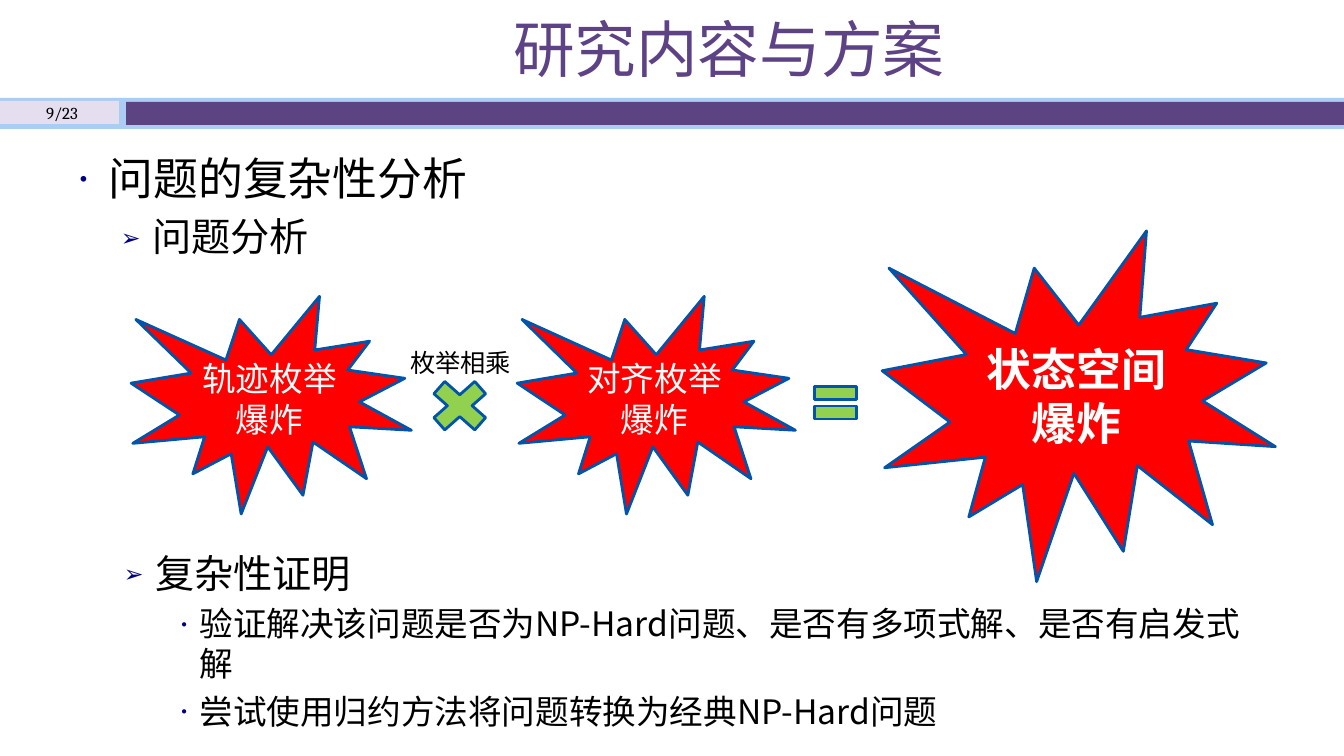
"""Build a slide on the complexity analysis of the research problem."""
import dataclasses
import typing

import lxml.etree
import pptx
import pptx.dml.color
import pptx.enum.shapes
import pptx.enum.text
import pptx.oxml.ns
import pptx.util

Inches = pptx.util.Inches
Pt = pptx.util.Pt
Kind = pptx.enum.shapes.MSO_SHAPE
Align = pptx.enum.text.PP_ALIGN
Anchor = pptx.enum.text.MSO_ANCHOR
Box = tuple[float, float, float, float]


@dataclasses.dataclass(frozen=True)
class Theme:
    sans: str = "Noto Sans CJK SC"
    head: str = "Calibri"
    serif: str = "Cambria"
    black: str = "000000"
    white: str = "FFFFFF"
    sky: str = "ABCDF4"
    pale: str = "E5DEEF"
    plum: str = "5C4381"
    title: str = "5D4385"
    bullet: str = "000082"
    red: str = "FF0000"
    green: str = "92D050"
    edge: str = "0055AA"
    huge: int = 44
    large: int = 32
    mid: int = 28
    body: int = 24
    label: int = 18
    small: int = 12


@dataclasses.dataclass(frozen=True)
class Figure:
    kind: Kind
    box: Box
    fill: str
    line: bool = False
    text: str = ""
    size: int = 24
    bold: bool = False


@dataclasses.dataclass(frozen=True)
class Level:
    size: int
    left: float
    hang: float
    mark: str


THEME = Theme()
LEVELS = (
    Level(THEME.large, 0.38, 0.38, "•"),
    Level(THEME.mid, 0.81, 0.31, "➢"),
    Level(THEME.body, 1.25, 0.25, "•"),
)
BANDS = (
    Figure(Kind.RECTANGLE, (0, 0.97, 13.33, 0.31), THEME.sky),
    Figure(Kind.RECTANGLE, (0, 1, 1.18, 0.23), THEME.pale),
    Figure(Kind.RECTANGLE, (1.25, 1.01, 12.08, 0.23), THEME.plum),
)
BURST = Kind.EXPLOSION1
FIGURES = (
    Figure(BURST, (1.3, 2.94, 2.78, 2.16), THEME.red, True, "轨迹枚举爆炸"),
    Figure(BURST, (5.13, 2.94, 2.76, 2.16), THEME.red, True, "对齐枚举爆炸"),
    Figure(BURST, (8.75, 2.29, 3.9, 3.48), THEME.red, True, "状态空间爆炸", THEME.large, True),
    Figure(Kind.MATH_MULTIPLY, (4.17, 3.68, 0.78, 0.69), THEME.green, True),
    Figure(Kind.MATH_EQUAL, (8, 3.72, 0.57, 0.55), THEME.green, True),
)
LISTS = (
    ((0.6, 1.45, 12, 5.86), ((0, "问题的复杂性分析"), (1, "问题分析"))),
    ((0.63, 5.4, 12, 2.09), (
        (1, "复杂性证明"),
        (2, "验证解决该问题是否为NP-Hard问题、是否有多项式解、是否有启发式解"),
        (2, "尝试使用归约方法将问题转换为经典NP-Hard问题"),
    )),
)


def color(code: str) -> pptx.dml.color.RGBColor:
    """Turn a hex code into a colour."""
    return pptx.dml.color.RGBColor.from_string(code)


def place(box: Box) -> list[int]:
    """Turn a box in inches into lengths."""
    return [Inches(side) for side in box]


def node(parent: typing.Any, tag: str, **attrs: str) -> typing.Any:
    """Append a drawing element to a parent."""
    return lxml.etree.SubElement(parent, pptx.oxml.ns.qn(tag), attrs)


def write(para: typing.Any, text: str, *, size: int, font: str = THEME.sans,
          ink: str = THEME.black, bold: bool = False,
          align: Align = Align.LEFT) -> None:
    """Add formatted text to a paragraph."""
    para.alignment = align
    run = para.add_run()
    run.text = text
    run.font.size = Pt(size)
    run.font.bold = bold
    run.font.color.rgb = color(ink)
    run.font.name = font
    node(run.font._element, "a:ea", typeface=font)


def frame(slide: typing.Any, box: Box, anchor: Anchor = Anchor.TOP) -> typing.Any:
    """Add a wrapping text box and return its frame."""
    area = slide.shapes.add_textbox(*place(box)).text_frame
    area.word_wrap = True
    area.vertical_anchor = anchor
    return area


def draw(slide: typing.Any, fig: Figure) -> None:
    """Draw a figure with its text."""
    shape = slide.shapes.add_shape(fig.kind, *place(fig.box))
    shape.shadow.inherit = False
    shape.fill.solid()
    shape.fill.fore_color.rgb = color(fig.fill)
    if fig.line:
        shape.line.color.rgb = color(THEME.edge)
        shape.line.width = Pt(2)
    else:
        shape.line.fill.background()
    if fig.text:
        area = shape.text_frame
        area.word_wrap = True
        area.vertical_anchor = Anchor.MIDDLE
        write(area.paragraphs[0], fig.text, size=fig.size, ink=THEME.white,
              bold=fig.bold, align=Align.CENTER)


def outline(slide: typing.Any, box: Box, items: tuple[tuple[int, str], ...]) -> None:
    """Write a list with bullets by level."""
    area = frame(slide, box)
    for index, (depth, text) in enumerate(items):
        para = area.add_paragraph() if index else area.paragraphs[0]
        level = LEVELS[depth]
        para.level = depth
        para.space_before = Pt(round(level.size * 0.2, 1))
        write(para, text, size=level.size)
        props = para._p.get_or_add_pPr()
        props.set("marL", str(Inches(level.left)))
        props.set("indent", str(-Inches(level.hang)))
        node(node(props, "a:buClr"), "a:srgbClr", val=THEME.bullet)
        node(props, "a:buSzPct", val="60000")
        node(props, "a:buFont", typeface=THEME.sans)
        node(props, "a:buChar", char=level.mark)


def main() -> None:
    """Build and save the slide."""
    deck = pptx.Presentation()
    deck.slide_width, deck.slide_height = Inches(13.33), Inches(7.5)
    slide = deck.slides.add_slide(deck.slide_layouts[6])
    for band in BANDS:
        draw(slide, band)
    title = frame(slide, (1.23, 0.03, 12, 0.9), Anchor.MIDDLE)
    write(title.paragraphs[0], "研究内容与方案", size=THEME.huge,
          font=THEME.head, ink=THEME.title, align=Align.CENTER)
    page = frame(slide, (0, 0.96, 1.23, 0.31), Anchor.MIDDLE)
    write(page.paragraphs[0], "9/23", size=THEME.small, font=THEME.serif, align=Align.CENTER)
    for box, items in LISTS:
        outline(slide, box, items)
    for fig in FIGURES:
        draw(slide, fig)
    label = frame(slide, (3.97, 3.4, 1.38, 0.4))
    write(label.paragraphs[0], "枚举相乘", size=THEME.label)
    deck.save("out.pptx")


if __name__ == "__main__":
    main()
